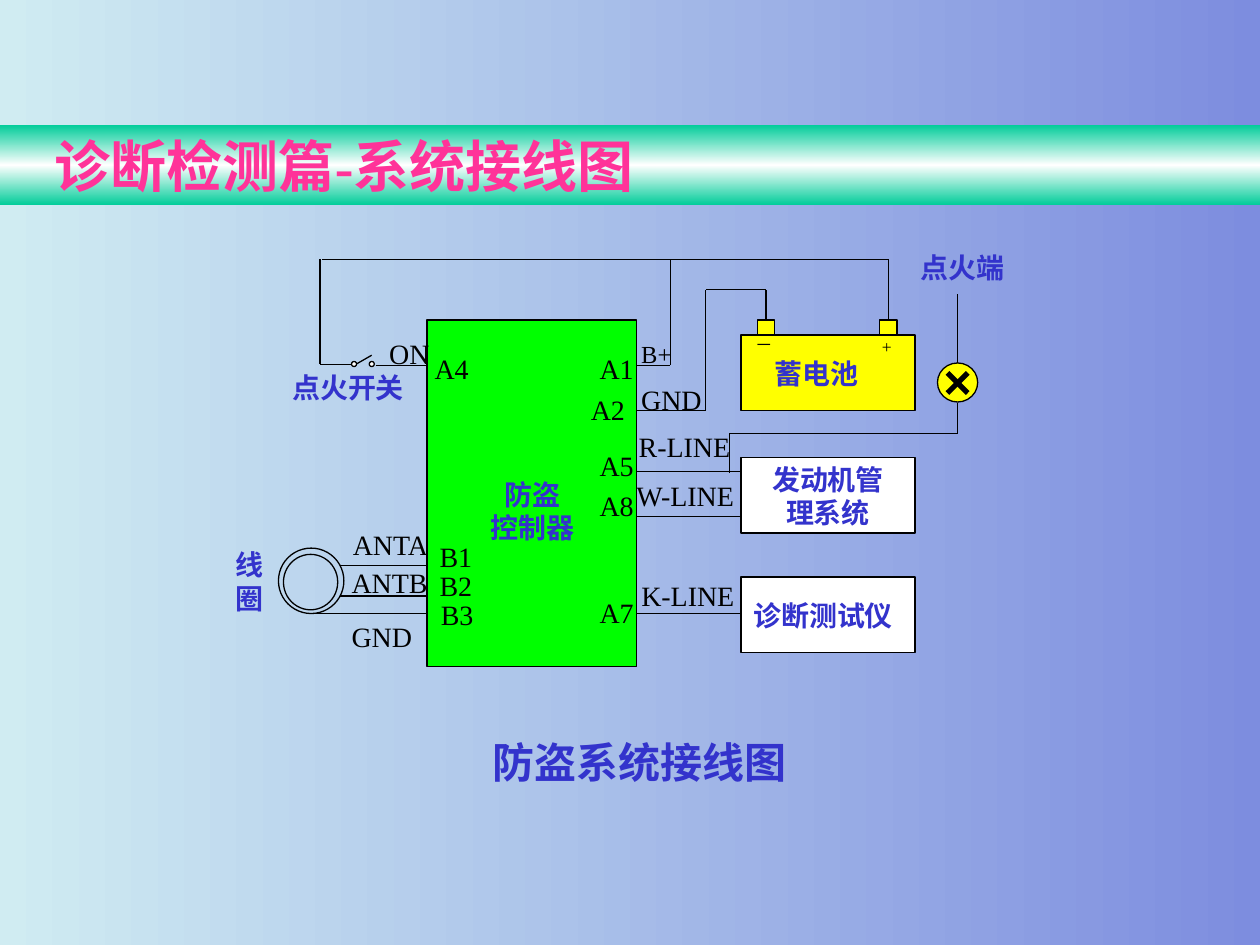
from copy import deepcopy
from pptx import Presentation
from pptx.dml.color import RGBColor
from pptx.enum import shapes, text
from pptx.oxml import parse_xml
from pptx.util import Pt

BLACK, BLUE, YELLOW, WHITE = "000000", "3333CC", "FFFF00", "FFFFFF"
FONT = "Times New Roman"
EFFECTS = '<a:effectLst xmlns:a="http://schemas.openxmlformats.org/drawingml/2006/main"/>'


def color(value):
    return RGBColor.from_string(value)


def write(frame, lines, size, value, bold, align):
    frame.word_wrap = True
    for index, line in enumerate(lines):
        paragraph = frame.add_paragraph() if index else frame.paragraphs[0]
        paragraph.alignment = align
        run = paragraph.add_run()
        run.text = line
        run.font.name = FONT
        run.font.size = Pt(size)
        run.font.bold = bold
        run.font.color.rgb = color(value)


presentation = Presentation()
presentation.slide_width, presentation.slide_height = Pt(720), Pt(540)
slide = presentation.slides.add_slide(presentation.slide_layouts[6])
LEFT, CENTER = text.PP_ALIGN.LEFT, text.PP_ALIGN.CENTER
RECTANGLE, OVAL = shapes.MSO_SHAPE.RECTANGLE, shapes.MSO_SHAPE.OVAL

background = slide.background.fill
background.gradient()
background.gradient_angle = 180
for stop, value in zip(background.gradient_stops, ["7D8DDF", "D0ECF2"]):
    stop.color.rgb = color(value)

controller_left, controller_right, box_left = 244.1, 363.6, 423.4
supply_y, pin_y, lamp_x = 148.3, 208.8, 547.2

wires = [
    (0.75, [(194.4, 323.3), (controller_left, 323.3)]),
    (0.75, [(194.4, 340.6), (controller_left, 340.6)]),
    (0.75, [(180, 350.6), (243.4, 350.6)]),
    (0.75, [(437.8, 182.9), (437.8, 165.6), (403.2, 165.6),
            (403.2, 234.7), (controller_right, 234.7)]),
    (0.75, [(507.6, 182.9), (507.6, supply_y), (184.3, supply_y)]),
    (0.75, [(383, supply_y), (383, pin_y), (controller_right, pin_y)]),
    (0.75, [(214.6, pin_y), (controller_left, pin_y)]),
    (1.5, [(182.9, supply_y), (182.9, 208.1)]),
    (0.75, [(182.9, 208.4), (203, 208.4), (212.4, 203)]),
    (0.75, [(416.9, 270), (416.9, 247.7), (lamp_x, 247.7), (lamp_x, 230.4)]),
    (0.75, [(lamp_x, 207.4), (lamp_x, 167.8)]),
]
for y in (269.3, 295.2, 350.6):
    wires.append((0.75, [(box_left, y), (controller_right, y)]))
lamp_cross = [
    (3, [(553, 213.1), (541.4, 224.6)]),
    (3, [(541.4, 213.1), (553, 224.6)]),
]

parts = [
    (RECTANGLE, controller_left, 182.9, 119.5, 198, "00FF00"),
    (RECTANGLE, box_left, 191.5, 99.4, 43.2, YELLOW),
    (RECTANGLE, box_left, 261.4, 99.4, 43.2, WHITE),
    (RECTANGLE, box_left, 329.8, 99.4, 43.2, WHITE),
    (RECTANGLE, 432.7, 182.9, 10.1, 8.6, YELLOW),
    (RECTANGLE, 502.6, 182.9, 10.1, 8.6, YELLOW),
    (OVAL, 162, 316.8, 31, 31.7, None),
    (OVAL, 159.1, 313.2, 37.4, 37.4, None),
    (OVAL, 200.9, 206.6, 2.9, 2.9, WHITE),
    (OVAL, 211, 206.6, 2.9, 2.9, WHITE),
    (OVAL, 535.7, 207.4, 23, 22.3, YELLOW),
]


def draw_wires(paths):
    for width, points in paths:
        for start, end in zip(points, points[1:]):
            wire = slide.shapes.add_connector(
                shapes.MSO_CONNECTOR.STRAIGHT, *map(Pt, start + end))
            wire.line.color.rgb = color(BLACK)
            wire.line.width = Pt(width)
            wire._element.spPr.append(parse_xml(EFFECTS))


draw_wires(wires)
for kind, left, top, width, height, fill in parts:
    part = slide.shapes.add_shape(kind, Pt(left), Pt(top), Pt(width), Pt(height))
    part.shadow.inherit = False
    part.line.color.rgb = color(BLACK)
    part.line.width = Pt(0.75)
    if fill:
        part.fill.solid()
        part.fill.fore_color.rgb = color(fill)
    else:
        part.fill.background()
draw_wires(lamp_cross)

pins = [
    ("A4", 241.2, 197.3), ("B1", 244.1, 304.6), ("B2", 244.1, 321.1), ("B3", 244.8, 337.7),
    ("A1", 335.5, 197.3), ("A2", 330.5, 221), ("A5", 335.5, 252.7),
    ("A8", 335.5, 275.8), ("A7", 335.5, 337), ("ON", 215.3, 188.6),
]
signals = [
    ("W-LINE", 363.6, 270), ("R-LINE", 365, 241.9), ("K-LINE", 366.5, 326.9),
    ("ANTA", 201.6, 298.1), ("ANTB", 200.9, 319.7), ("GND", 200.9, 350.6),
]
labels = [([name], left, top, 39.6, 27.4, 7.2, 3.6, 16, BLACK, False, LEFT)
          for name, left, top in pins]
labels += [([name], left, top, 64, 27.4, 0, 3.6, 16, BLACK, False, LEFT)
           for name, left, top in signals]
labels += [
    (["B+"], 359.3, 190.1, 39.6, 27.4, 7.2, 3.6, 14, BLACK, False, LEFT),
    (["GND"], 359.3, 215.3, 54, 27.4, 7.2, 3.6, 16, BLACK, False, LEFT),
    (["－"], 424.8, 187.2, 39.6, 29.5, 7.2, 3.6, 10, BLACK, False, LEFT),
    (["+"], 496.8, 188.6, 39.6, 28.8, 7.2, 3.6, 10, BLACK, False, LEFT),
    (["防盗", "控制器"], 264.2, 269.3, 79.9, 25.9, 7.2, 3.6, 16, BLUE, True, CENTER),
    (["诊断测试仪"], box_left, 338.4, 99.4, 25.9, 7.2, 3.6, 16, BLUE, True, LEFT),
    (["发动机管", "理系统"], box_left, 264.2, 99.4, 25.9, 7.2, 0, 16, BLUE, True, CENTER),
    (["线圈"], 127.4, 309.6, 39.6, 24.5, 7.2, 3.6, 16, BLUE, True, LEFT),
    (["蓄电池"], 442.8, 200.2, 59.8, 25.9, 0, 3.6, 16, BLUE, True, LEFT),
    (["点火开关"], 167, 211.7, 85, 18.7, 0, 0, 16, BLUE, True, LEFT),
    (["点火端"], 513.4, 139.7, 73.4, 26.6, 7.2, 3.6, 16, BLUE, True, CENTER),
    (["防盗系统接线图"], 212.4, 417.6, 306, 36, 7.2, 3.6, 24, BLUE, True, CENTER),
]
for lines, left, top, width, height, side, edge, size, value, bold, align in labels:
    frame = slide.shapes.add_textbox(Pt(left), Pt(top), Pt(width), Pt(height)).text_frame
    frame.margin_left = frame.margin_right = Pt(side)
    frame.margin_top = frame.margin_bottom = Pt(edge)
    write(frame, lines, size, value, bold, align)

banner = slide.shapes.add_shape(RECTANGLE, Pt(0), Pt(71.3), Pt(720), Pt(46))
banner.shadow.inherit = False
banner.line.fill.background()
banner.fill.gradient()
banner.fill.gradient_angle = 90
stop_list = banner._element.spPr.find(".//{*}gsLst")
stop_list.insert(1, deepcopy(stop_list[0]))
for stop, value, position in zip(banner.fill.gradient_stops,
                                 ["00CC99", WHITE, "00CC99"], [0, 0.5, 1]):
    stop.color.rgb = color(value)
    stop.position = position
frame = banner.text_frame
frame.margin_left = Pt(31.2)
frame.vertical_anchor = text.MSO_ANCHOR.MIDDLE
write(frame, ["诊断检测篇-系统接线图"], 32, "FF3399", True, LEFT)

presentation.save("out.pptx")
